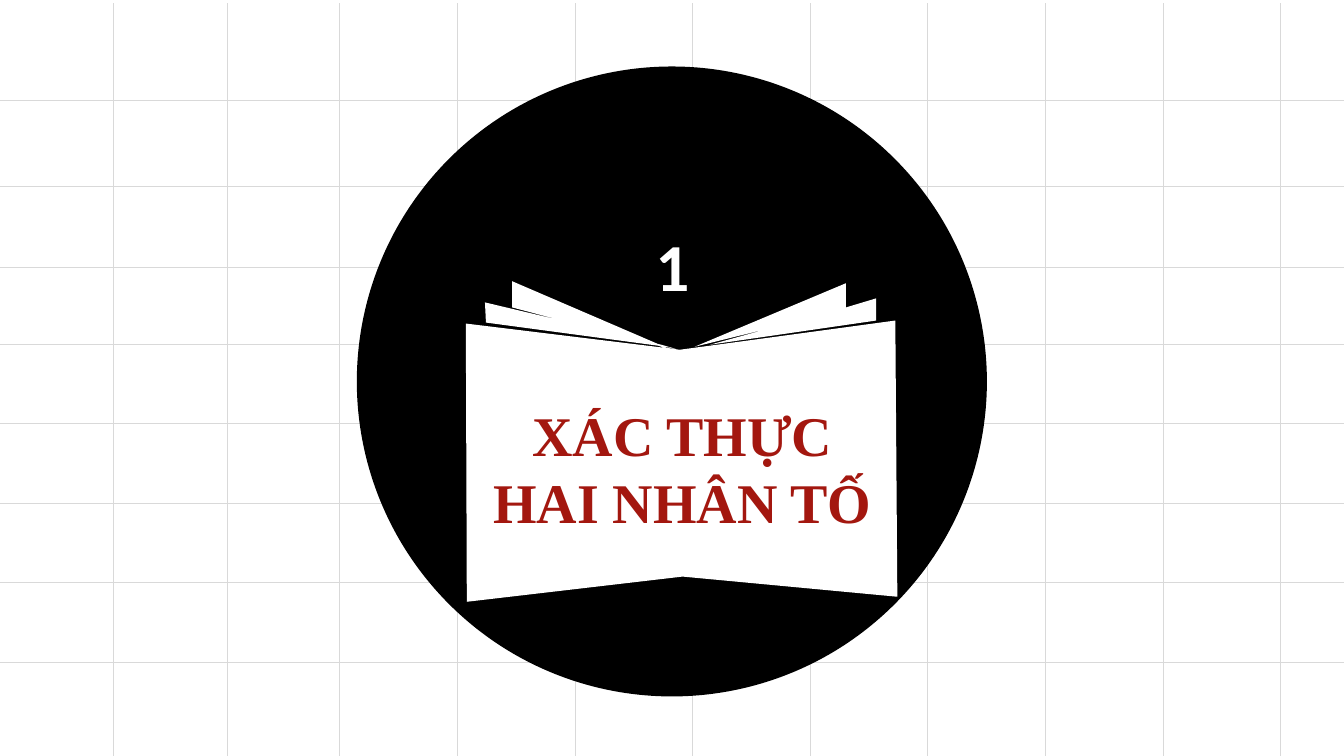
import dataclasses

import lxml.etree
import pptx
import pptx.dml.color
import pptx.enum.shapes
import pptx.enum.text
import pptx.oxml.ns
import pptx.util


@dataclasses.dataclass(frozen=True)
class Theme:
    paper: str = "FFFFFF"
    grid: str = "D9D9D9"
    disc: str = "000000"
    title: str = "A3170F"
    number_font: str = "Calibri"
    title_font: str = "Times New Roman"
    number_size: int = 48
    title_size: int = 40
    grid_width: float = 0.5


THEME = Theme()
SLIDE_WIDTH = pptx.util.Inches(13.33)
SLIDE_HEIGHT = pptx.util.Inches(7.5)

GRID_COLUMNS = [8.44, 16.88] + [25.28 + 8.75 * step for step in range(9)]
GRID_ROWS = [13.33, 24.67, 35.33, 45.6] + [56 + 10.53 * step for step in range(4)]
GRID_TOP = 0.4

DISC_BOX = (26.55, 8.8, 46.88, 83.33)
NUMBER_BOX = (31.8, 29.07, 36.45, 12.13)
TITLE_BOX = (34.65, 52.27, 32.25, 19.33)

BOOK_COLUMNS = 1333
RIGHT_PAGES = [
    (839, 281), (839, 305), (869, 296), (869, 318), (704, 342),
    (766, 325), (689, 344),
]
OPEN_BOOK = [
    (508, 279), (652, 341), (656, 342), (670, 346), (659, 344), (661, 345),
    (674, 347), (888, 318), (890, 592), (677, 572), (463, 597), (462, 321),
    (659, 345), (653, 343), (482, 320), (481, 300), (561, 319), (508, 305),
]


def across(percent):
    return round(SLIDE_WIDTH * percent / 100)


def down(percent):
    return round(SLIDE_HEIGHT * percent / 100)


def place(box):
    left, top, width, height = box
    return across(left), down(top), across(width), down(height)


def color(value):
    return pptx.dml.color.RGBColor.from_string(value)


def paint(shape, fill):
    shape.shadow.inherit = False
    shape.fill.solid()
    shape.fill.fore_color.rgb = color(fill)
    shape.line.fill.background()


def add_grid_line(slide, start, end):
    connector = slide.shapes.add_connector(
        pptx.enum.shapes.MSO_CONNECTOR.STRAIGHT,
        across(start[0]), down(start[1]), across(end[0]), down(end[1]),
    )
    connector.line.color.rgb = color(THEME.grid)
    connector.line.width = pptx.util.Pt(THEME.grid_width)
    lxml.etree.SubElement(
        connector.element.spPr, pptx.oxml.ns.qn("a:effectLst")
    )


def add_grid(slide):
    for row in GRID_ROWS:
        add_grid_line(slide, (0, row), (100, row))
    for column in GRID_COLUMNS:
        add_grid_line(slide, (column, GRID_TOP), (column, 100 + GRID_TOP))


def add_disc(slide):
    disc = slide.shapes.add_shape(
        pptx.enum.shapes.MSO_SHAPE.OVAL, *place(DISC_BOX)
    )
    paint(disc, THEME.disc)


def add_book(slide):
    builder = slide.shapes.build_freeform(
        *RIGHT_PAGES[0], scale=SLIDE_WIDTH / BOOK_COLUMNS
    )
    builder.add_line_segments(RIGHT_PAGES[1:], close=True)
    builder.move_to(*OPEN_BOOK[0])
    builder.add_line_segments(OPEN_BOOK[1:], close=True)
    paint(builder.convert_to_shape(), THEME.paper)


def write_centered(shape, text, font, size, fill):
    frame = shape.text_frame
    frame.word_wrap = True
    frame.auto_size = pptx.enum.text.MSO_AUTO_SIZE.NONE
    frame.vertical_anchor = pptx.enum.text.MSO_ANCHOR.TOP
    paragraph = frame.paragraphs[0]
    paragraph.alignment = pptx.enum.text.PP_ALIGN.CENTER
    run = paragraph.add_run()
    run.text = text
    run.font.name = font
    run.font.size = pptx.util.Pt(size)
    run.font.bold = True
    run.font.color.rgb = color(fill)


def add_number(slide, text):
    number = slide.shapes.add_textbox(*place(NUMBER_BOX))
    write_centered(
        number, text, THEME.number_font, THEME.number_size, THEME.paper
    )


def add_title(slide, text):
    title = slide.shapes.title
    title.left, title.top, title.width, title.height = place(TITLE_BOX)
    write_centered(title, text, THEME.title_font, THEME.title_size, THEME.title)
    slide.shapes.element.append(title.element)


def main():
    presentation = pptx.Presentation()
    presentation.slide_width = SLIDE_WIDTH
    presentation.slide_height = SLIDE_HEIGHT
    title_only = presentation.slide_layouts.get_by_name("Title Only")
    slide = presentation.slides.add_slide(title_only)
    slide.background.fill.solid()
    slide.background.fill.fore_color.rgb = color(THEME.paper)
    add_grid(slide)
    add_disc(slide)
    add_number(slide, "1")
    add_book(slide)
    add_title(slide, "XÁC THỰC HAI NHÂN TỐ")
    presentation.save("out.pptx")


if __name__ == "__main__":
    main()
